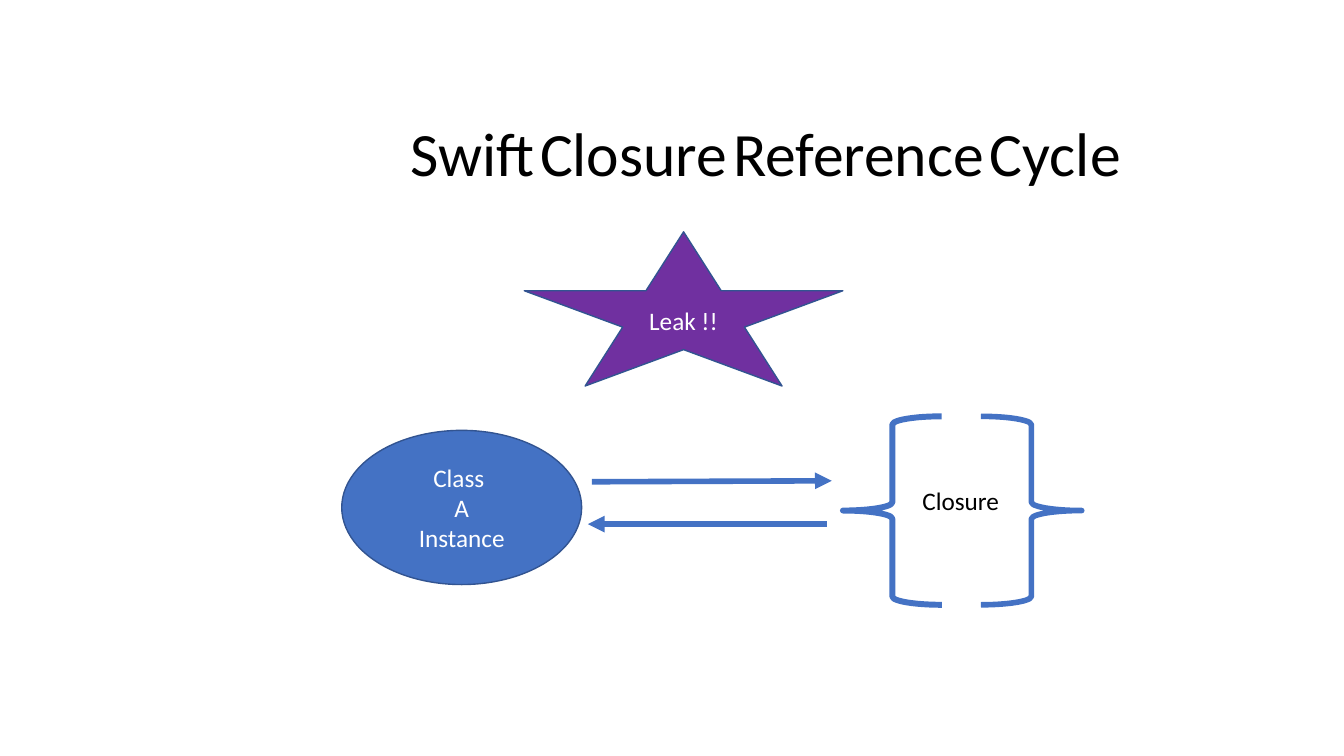
from dataclasses import dataclass
from typing import Any, NamedTuple

from lxml import etree
from pptx import Presentation
from pptx.dml.color import RGBColor
from pptx.enum.shapes import MSO_CONNECTOR, MSO_SHAPE
from pptx.enum.text import MSO_ANCHOR, PP_ALIGN
from pptx.oxml.ns import qn
from pptx.util import Emu, Inches, Pt

STAR, OVAL = MSO_SHAPE.STAR_5_POINT, MSO_SHAPE.OVAL
LEFT_BRACE, RIGHT_BRACE = MSO_SHAPE.LEFT_BRACE, MSO_SHAPE.RIGHT_BRACE
STRAIGHT = MSO_CONNECTOR.STRAIGHT
CENTER, LEFT = PP_ALIGN.CENTER, PP_ALIGN.LEFT
MIDDLE, TOP = MSO_ANCHOR.MIDDLE, MSO_ANCHOR.TOP

BLACK = RGBColor(0x00, 0x00, 0x00)
WHITE = RGBColor(0xFF, 0xFF, 0xFF)
BLUE = RGBColor(0x44, 0x72, 0xC4)
DARK_BLUE = RGBColor(0x32, 0x54, 0x91)
PURPLE = RGBColor(0x70, 0x30, 0xA0)

WIDTH, HEIGHT = Inches(13.33), Inches(7.5)
BODY = {"name": "Calibri", "size": Pt(18), "bold": False}
TITLE_WORD = BODY | {"size": Pt(44)}
TITLE_GAP = BODY | {"bold": True}


class Box(NamedTuple):
    """Left, top, width and height in percent of the slide."""
    left: float
    top: float
    width: float
    height: float


@dataclass
class Figure:
    """A preset shape with an optional fill and centred lines of text."""
    preset: Any
    box: Box
    line: RGBColor
    weight: float
    fill: RGBColor | None = None
    lines: tuple[str, ...] = ()


@dataclass
class Arrow:
    """An arrow between two points in percent of the slide."""
    start: tuple[float, float]
    end: tuple[float, float]


FIGURES = [
    Figure(STAR, Box(39.01, 30.67, 23.71, 20.4), DARK_BLUE, 1, PURPLE, ("Leak !!",)),
    Figure(OVAL, Box(25.43, 56.93, 17.85, 20.4), DARK_BLUE, 1, BLUE,
           ("Class ", "A", "Instance")),
    Figure(LEFT_BRACE, Box(62.72, 55.07, 7.35, 24.93), BLUE, 4.25),
    Figure(RIGHT_BRACE, Box(72.99, 55.07, 7.5, 24.93), BLUE, 4),
]
ARROWS = [
    Arrow((44.04, 63.73), (61.89, 63.6)),
    Arrow((61.52, 69.33), (43.74, 69.33)),
]
TITLE_BOX = Box(23.78, 6.27, 60.99, 35.47)
CLOSURE_BOX = Box(67.89, 63.6, 7.28, 5.33)


def x(share: float) -> Emu:
    """Turn a percentage of the slide's width into a length."""
    return Emu(round(WIDTH * share / 100))


def y(share: float) -> Emu:
    """Turn a percentage of the slide's height into a length."""
    return Emu(round(HEIGHT * share / 100))


def place(box: Box) -> tuple[Emu, Emu, Emu, Emu]:
    """Turn a box into slide lengths."""
    return x(box.left), y(box.top), x(box.width), y(box.height)


def add_run(p: Any, text: str, style: dict[str, Any], color: RGBColor) -> None:
    """Add a formatted run to a paragraph."""
    r = p.add_run()
    r.text = text
    for key, value in style.items():
        setattr(r.font, key, value)
    r.font.color.rgb = color


def draw_figure(s: Any, figure: Figure) -> None:
    """Draw a preset shape and its text."""
    sp = s.shapes.add_shape(figure.preset, *place(figure.box))
    sp.shadow.inherit = False
    sp.line.color.rgb, sp.line.width = figure.line, Pt(figure.weight)
    if figure.fill is None:
        sp.fill.background()
    else:
        sp.fill.solid()
        sp.fill.fore_color.rgb = figure.fill
    tf = sp.text_frame
    tf.vertical_anchor = MIDDLE
    for i, text in enumerate(figure.lines):
        p = tf.add_paragraph() if i else tf.paragraphs[0]
        p.alignment = CENTER
        add_run(p, text, BODY, WHITE)


def draw_arrow(s: Any, arrow: Arrow) -> None:
    """Draw a line with a triangle at its end."""
    (x1, y1), (x2, y2) = arrow.start, arrow.end
    sp = s.shapes.add_connector(STRAIGHT, x(x1), y(y1), x(x2), y(y2))
    sp.line.color.rgb, sp.line.width = BLUE, Pt(4)
    etree.SubElement(sp.line._get_or_add_ln(), qn("a:tailEnd"), type="triangle")
    etree.SubElement(sp._element.spPr, qn("a:effectLst"))


def add_text(s: Any, box: Box, wrap: bool) -> Any:
    """Add a top-left text box and return its text frame."""
    tf = s.shapes.add_textbox(*place(box)).text_frame
    tf.word_wrap, tf.vertical_anchor = wrap, TOP
    tf.paragraphs[0].alignment = LEFT
    return tf


def draw_title(s: Any) -> None:
    """Draw the title with small gaps between its large words."""
    tf = add_text(s, TITLE_BOX, True)
    tf.margin_left, tf.margin_top = Inches(0.9), Inches(0.67)
    p = tf.paragraphs[0]
    for i, word in enumerate("Swift Closure Reference Cycle".split()):
        if i:
            add_run(p, " ", TITLE_GAP, BLACK)
        add_run(p, word, TITLE_WORD, BLACK)


def main() -> None:
    """Build and save the slide."""
    prs = Presentation()
    prs.slide_width, prs.slide_height = WIDTH, HEIGHT
    s = prs.slides.add_slide(prs.slide_layouts[6])
    draw_title(s)
    for figure in FIGURES:
        draw_figure(s, figure)
    for arrow in ARROWS:
        draw_arrow(s, arrow)
    closure = add_text(s, CLOSURE_BOX, False)
    add_run(closure.paragraphs[0], "Closure", BODY, BLACK)
    prs.save("out.pptx")


if __name__ == "__main__":
    main()
